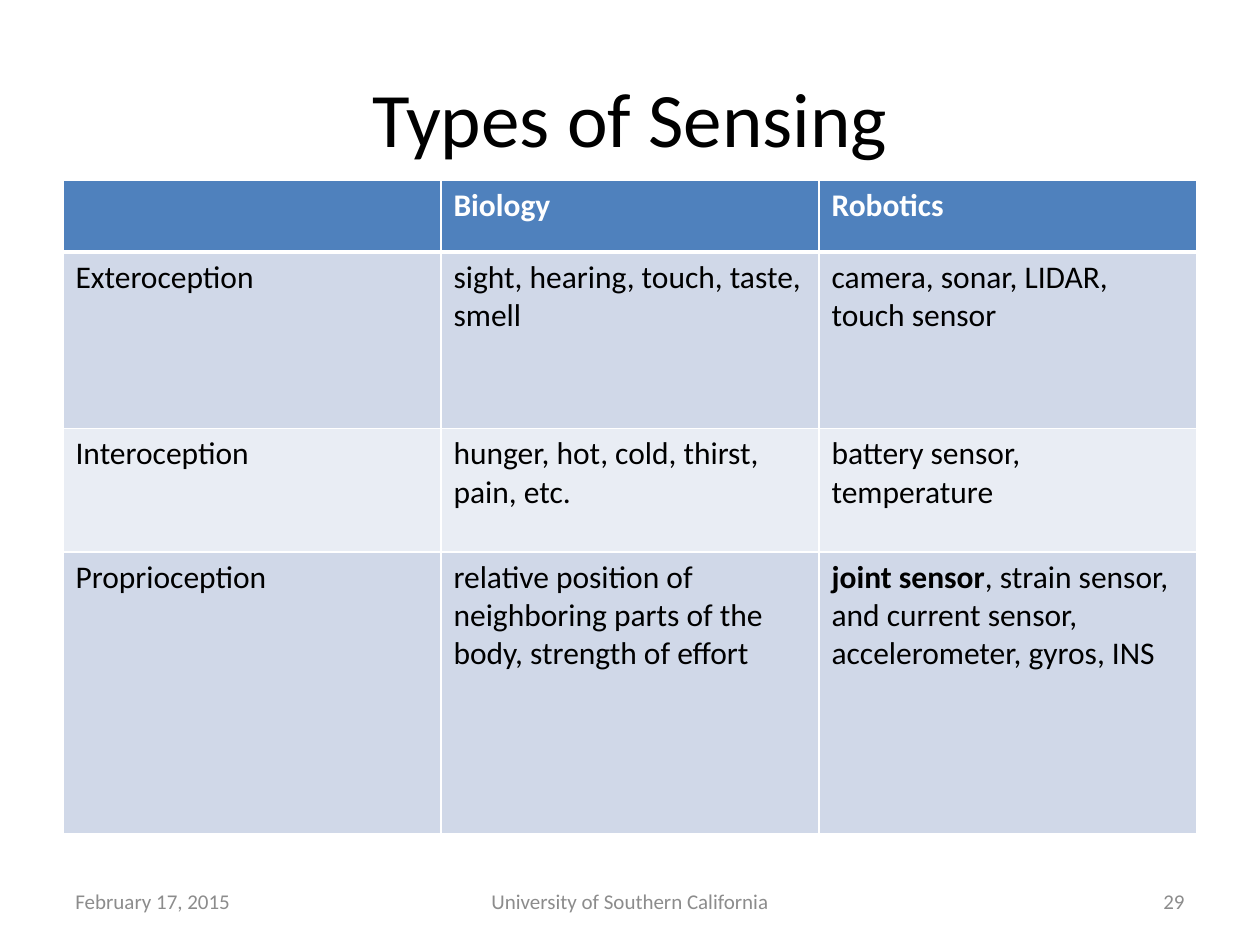
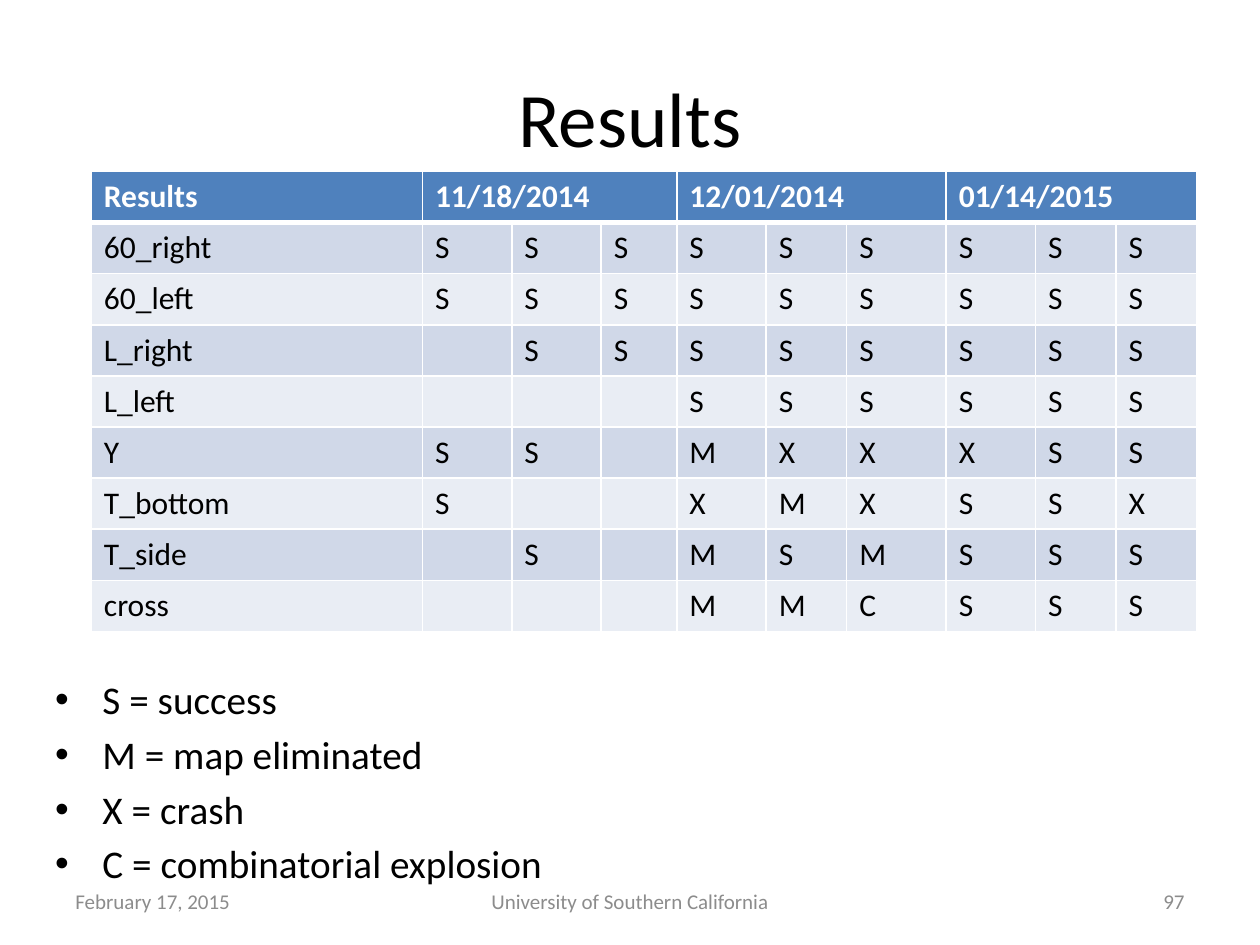
"""Build two slides with tables on robot sensing types and mapping results."""
from dataclasses import dataclass
from itertools import product

from lxml import etree
from pptx import Presentation
from pptx.dml.color import RGBColor
from pptx.enum import text as te
from pptx.oxml import ns
from pptx.util import Pt

FONT = "Calibri"
BLACK, WHITE, GREY = "000000", "FFFFFF", "8C8C8C"
HEADER, BANDS = "4F81BD", ("D0D8E8", "E9EDF4")
LEFT, CENTER, RIGHT = te.PP_ALIGN.LEFT, te.PP_ALIGN.CENTER, te.PP_ALIGN.RIGHT
TOP, MIDDLE = te.MSO_ANCHOR.TOP, te.MSO_ANCHOR.MIDDLE


@dataclass(frozen=True)
class Box:
    """Place and text style of a text box."""
    left: float
    top: float
    width: float
    height: float
    size: float
    color: str = BLACK
    align: te.PP_ALIGN = LEFT
    anchor: te.MSO_ANCHOR = MIDDLE


@dataclass(frozen=True)
class Grid:
    """Place, sizes and contents of a table with a header row."""
    left: float
    top: float
    columns: tuple[float, ...]
    heights: tuple[float, ...]
    rows: tuple[tuple[str, ...], ...]
    header_span: int = 1
    emphasis: str = ""


TITLE = Box(36, 21.6, 648, 90, 44, align=CENTER)
DATE = Box(36, 500.5, 168, 28.8, 12, GREY)
VENUE = Box(246, 500.5, 228, 28.8, 12, GREY, CENTER)
NUMBER = Box(516, 500.5, 168, 28.8, 12, GREY, RIGHT)
LEGEND = Box(24.5, 382.3, 321, 119, 22.4, anchor=TOP)

SENSING = Grid(
    36, 103, (216,) * 3, (41, 100.8, 70.5, 161),
    (("", "Biology", "Robotics"),
     ("Exteroception", "sight, hearing, touch, taste, smell",
      "camera, sonar, LIDAR, touch sensor"),
     ("Interoception", "hunger, hot, cold, thirst, pain, etc.",
      "battery sensor, temperature"),
     ("Proprioception",
      "relative position of neighboring parts of the body, strength of effort",
      "joint sensor, strain sensor, and current sensor, accelerometer, gyros, INS")),
    emphasis="joint sensor")

OUTCOMES = {
    "60_right": "SSSSSSSSS",
    "60_left": "SSSSSSSSS",
    "L_right": "-SSSSSSSS",
    "L_left": "---SSSSSS",
    "Y": "SS-MXXXSS",
    "T_bottom": "S--XMXSSX",
    "T_side": "-S-MSMSSS",
    "cross": "---MMCSSS",
}
TRIALS = Grid(
    52.2, 98, (189.2, 51.1, 51.1, 43.2, 51.1, 46, 56.9, 51.1, 46, 46),
    (29.2,) * (len(OUTCOMES) + 1),
    (("Results", "11/18/2014", "", "", "12/01/2014", "", "", "01/14/2015", "", ""),
     *((course, *marks.replace("-", " ")) for course, marks in OUTCOMES.items())),
    header_span=3)
MARK_MEANINGS = ("S = success", "M = map eliminated", "X = crash",
                 "C = combinatorial explosion")


def rgb(color: str) -> RGBColor:
    """Turn a hex string into a colour."""
    return RGBColor.from_string(color)


def write(paragraph, words: str, *, size: float = 18, color: str = BLACK,
          bold: bool = False, align: te.PP_ALIGN = LEFT) -> None:
    """Append formatted words to a paragraph."""
    paragraph.alignment = align
    run = paragraph.add_run()
    run.text = words
    run.font.name, run.font.size, run.font.bold = FONT, Pt(size), bold
    run.font.color.rgb = rgb(color)


def add_bullet(paragraph, indent: float) -> None:
    """Give a paragraph a round bullet with a hanging indent."""
    properties = paragraph._p.get_or_add_pPr()
    properties.set("marL", str(Pt(indent)))
    properties.set("indent", str(-Pt(indent)))
    etree.SubElement(properties, ns.qn("a:buFont"), typeface="Arial")
    etree.SubElement(properties, ns.qn("a:buChar"), char="•")


def draw_box(slide, box: Box, *lines: str, bulleted: bool = False) -> None:
    """Draw a text box with one paragraph for each line."""
    frame = slide.shapes.add_textbox(
        Pt(box.left), Pt(box.top), Pt(box.width), Pt(box.height)).text_frame
    frame.word_wrap, frame.vertical_anchor = True, box.anchor
    for index, line in enumerate(lines):
        paragraph = frame.add_paragraph() if index else frame.paragraphs[0]
        if bulleted:
            add_bullet(paragraph, 27)
        if index:
            paragraph.space_before = Pt(box.size * 0.2)
        write(paragraph, line, size=box.size, color=box.color, align=box.align)


def set_borders(cell, top: float, bottom: float) -> None:
    """Draw white borders around a cell."""
    properties = cell._tc.get_or_add_tcPr()
    for side, width in (("L", 1), ("R", 1), ("T", top), ("B", bottom)):
        line = etree.SubElement(properties, ns.qn(f"a:ln{side}"), w=str(Pt(width)))
        fill = etree.SubElement(line, ns.qn("a:solidFill"))
        etree.SubElement(fill, ns.qn("a:srgbClr"), val=WHITE)


def fill_cell(cell, words: str, row: int, emphasis: str) -> None:
    """Style a cell by its row and write its words, some of them bold."""
    is_header = row == 0
    set_borders(cell, top=3 if row == 1 else 1, bottom=3 if is_header else 1)
    cell.fill.solid()
    cell.fill.fore_color.rgb = rgb(HEADER if is_header else BANDS[(row - 1) % 2])
    paragraph = cell.text_frame.paragraphs[0]
    if emphasis and words.startswith(emphasis):
        write(paragraph, emphasis, bold=True)
        words = words.removeprefix(emphasis)
    if words.strip():
        write(paragraph, words, color=WHITE if is_header else BLACK, bold=is_header)


def draw_grid(slide, grid: Grid) -> None:
    """Draw a table with a header row and banded body rows."""
    table = slide.shapes.add_table(
        len(grid.heights), len(grid.columns), Pt(grid.left), Pt(grid.top),
        Pt(sum(grid.columns)), Pt(sum(grid.heights))).table
    for column, width in zip(table.columns, grid.columns):
        column.width = Pt(width)
    for row, height in zip(table.rows, grid.heights):
        row.height = Pt(height)
    for row, column in product(range(len(grid.heights)), range(len(grid.columns))):
        fill_cell(table.cell(row, column), grid.rows[row][column], row, grid.emphasis)
    if grid.header_span > 1:
        for first in range(1, len(grid.columns), grid.header_span):
            table.cell(0, first).merge(table.cell(0, first + grid.header_span - 1))


def add_slide(deck, title: str, number: int):
    """Add a slide with its title and footers."""
    slide = deck.slides.add_slide(deck.slide_layouts[6])
    draw_box(slide, TITLE, title)
    draw_box(slide, DATE, "February 17, 2015")
    draw_box(slide, VENUE, "University of Southern California")
    draw_box(slide, NUMBER, str(number))
    return slide


def main() -> None:
    """Build and save the deck."""
    deck = Presentation()
    deck.slide_width, deck.slide_height = Pt(720), Pt(540)
    draw_grid(add_slide(deck, "Types of Sensing", 29), SENSING)
    results = add_slide(deck, "Results", 97)
    draw_box(results, LEGEND, *MARK_MEANINGS, bulleted=True)
    draw_grid(results, TRIALS)
    deck.save("out.pptx")


if __name__ == "__main__":
    main()
